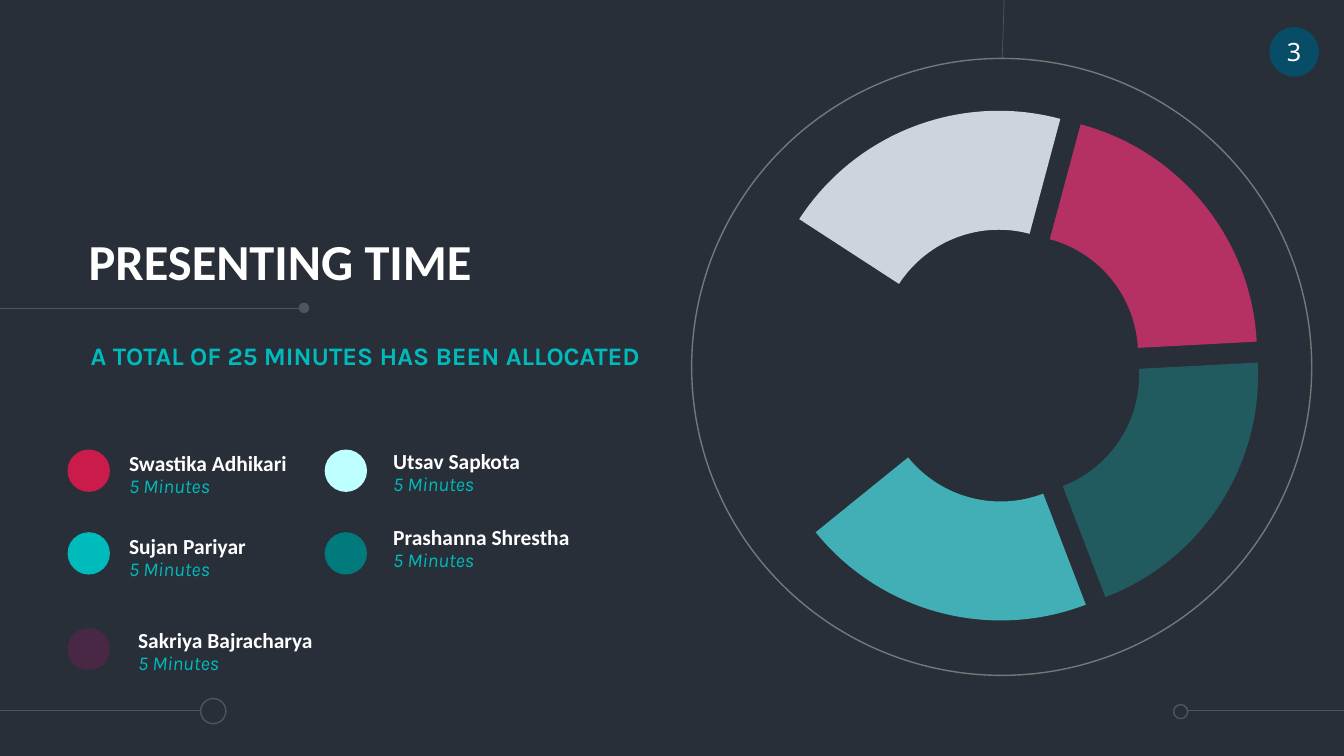
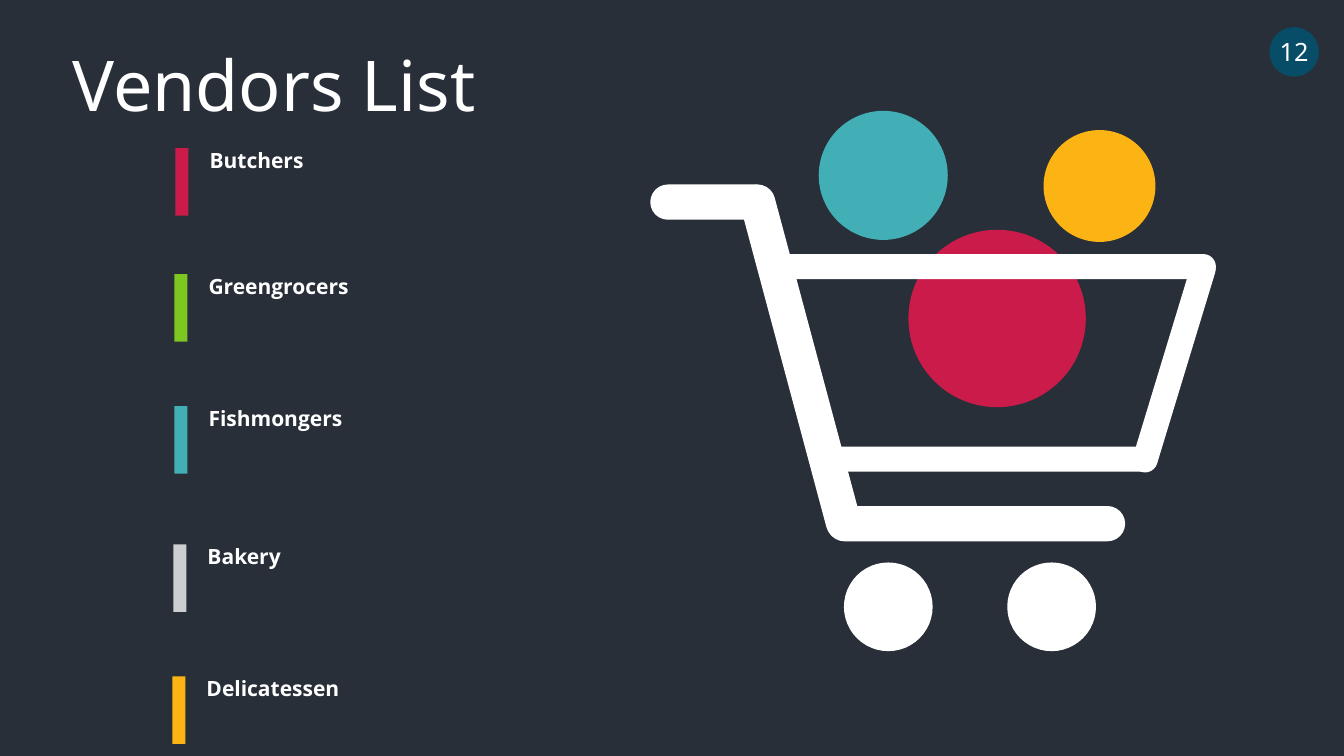
from pptx import Presentation
from pptx.chart.data import CategoryChartData
from pptx.dml.color import RGBColor
from pptx.enum.chart import XL_CHART_TYPE
from pptx.enum.shapes import MSO_CONNECTOR, MSO_SHAPE
from pptx.enum.text import MSO_ANCHOR, PP_ALIGN
from pptx.oxml.ns import qn
from pptx.util import Inches, Pt

OVAL, RECT, PILL = MSO_SHAPE.OVAL, MSO_SHAPE.RECTANGLE, MSO_SHAPE.ROUNDED_RECTANGLE
TOP, MIDDLE, BOTTOM = MSO_ANCHOR.TOP, MSO_ANCHOR.MIDDLE, MSO_ANCHOR.BOTTOM

COLORS = {
    "back": "282F39", "white": "FFFFFF", "badge": "074D67", "rule": "515459",
    "ring": "777777", "teal": "00BBBB", "red": "CB1B4A", "ice": "BEFFFF",
    "pine": "007A7D", "plum": "482845", "yellow": "FCB414", "aqua": "42AFB6",
    "green": "7EC722", "silver": "CCCED0", "mist": "CED4DD", "rose": "B53164",
    "forest": "225B5F",
}
RGB = {name: RGBColor.from_string(value) for name, value in COLORS.items()}


def add_shape(s, kind, x, y, w, h, fill=None, line=None):
    sp = s.shapes.add_shape(kind, Inches(x), Inches(y), Inches(w), Inches(h))
    sp.shadow.inherit = False
    if fill:
        sp.fill.solid()
        sp.fill.fore_color.rgb = RGB[fill]
    else:
        sp.fill.background()
    if line:
        sp.line.color.rgb = RGB[line]
        sp.line.width = Pt(1)
    else:
        sp.line.fill.background()
    return sp


def add_text(s, text, x, y, w, h, font, size, color="white", bold=False,
             italic=False, anchor=TOP, spacing=None, inset=True):
    tf = s.shapes.add_textbox(Inches(x), Inches(y), Inches(w), Inches(h)).text_frame
    tf.word_wrap = True
    tf.vertical_anchor = anchor
    if not inset:
        tf.margin_left = tf.margin_right = tf.margin_top = tf.margin_bottom = 0
    p = tf.paragraphs[0]
    p.text = text
    p.line_spacing = spacing
    p.font.name, p.font.size = font, Pt(size)
    p.font.bold, p.font.italic = bold, italic
    p.font.color.rgb = RGB[color]


prs = Presentation()
prs.slide_width, prs.slide_height = Inches(13.33), Inches(7.5)
master_fill = prs.slide_master.background.fill
master_fill.solid()
master_fill.fore_color.rgb = RGB["back"]

# Both slides carry a number badge
slides = []
for number in ("3", "12"):
    s = prs.slides.add_slide(prs.slide_layouts[6])
    slides.append(s)
    badge = add_shape(s, OVAL, 12.59, 0.27, 0.49, 0.49, "badge")
    tf = badge.text_frame
    tf.word_wrap = False
    tf.vertical_anchor = MIDDLE
    p = tf.paragraphs[0]
    p.text = number
    p.alignment = PP_ALIGN.CENTER
    p.font.name, p.font.size = "Noto Sans", Pt(18)
    p.font.color.rgb = RGB["white"]
time_slide, vendor_slide = slides

# Presenting time: headings
s = time_slide
add_text(s, "PRESENTING TIME", 0.88, 1.6, 4.88, 1.29, "Calibri", 36,
         bold=True, anchor=BOTTOM, spacing=0.9, inset=False)
add_text(s, "A TOTAL OF 25 MINUTES HAS BEEN ALLOCATED", 0.9, 3.38, 5.53, 1.1,
         "Karla", 18, "teal", bold=True, inset=False)

# Presenters: dot position, name position
presenters = [
    ("Swastika Adhikari", "red", 0.67, 4.46, 1.28, 4.34),
    ("Utsav Sapkota", "ice", 3.22, 4.46, 3.9, 4.32),
    ("Sujan Pariyar", "teal", 0.67, 5.28, 1.28, 5.16),
    ("Prashanna Shrestha", "pine", 3.22, 5.28, 3.9, 5.07),
    ("Sakriya Bajracharya", "plum", 0.67, 6.23, 1.37, 6.09),
]
for name, color, dot_x, dot_y, x, y in presenters:
    add_shape(s, OVAL, dot_x, dot_y, 0.42, 0.42, color)
    add_text(s, name, x, y, 2.1, 0.38, "Calibri", 15.3, bold=True,
             anchor=BOTTOM, spacing=0.8, inset=False)
    add_text(s, "5 Minutes", x, y + 0.39, 1.41, 0.27, "Karla", 14, "teal",
             italic=True, spacing=0.9, inset=False)

# Thin rules and their end dots
for x1, y1, x2, y2 in [(0, 3.06, 3.03, 3.06), (0, 7.05, 1.99, 7.05),
                       (9.94, 0.58, 9.96, 0), (11.77, 7.05, 13.33, 7.05)]:
    rule = s.shapes.add_connector(MSO_CONNECTOR.STRAIGHT, Inches(x1), Inches(y1),
                                  Inches(x2), Inches(y2))
    rule.line.color.rgb = RGB["rule"]
    rule.line.width = Pt(0.5)
    spPr = rule._element.spPr
    spPr.append(spPr.makeelement(qn("a:effectLst"), {}))
add_shape(s, OVAL, 2.97, 3.01, 0.09, 0.09, "rule", "rule")
add_shape(s, OVAL, 1.99, 6.93, 0.25, 0.25, line="rule")
add_shape(s, OVAL, 11.64, 6.99, 0.14, 0.14, line="rule")

# Doughnut chart, first slice in the background colour
data = CategoryChartData()
data.categories = ["1", "2", "3", "4", "5"]
data.add_series("Series 1", [20] * 5)
chart = s.shapes.add_chart(XL_CHART_TYPE.DOUGHNUT, Inches(7.09), Inches(0.95),
                           Inches(5.76), Inches(5.35), data).chart
chart.has_legend = False
chart.has_title = False
chart.font.name, chart.font.size = "Calibri", Pt(10)
chart.font.color.rgb = RGB["back"]
series = chart.plots[0].series[0]
for i, color in enumerate(["back", "mist", "rose", "forest", "aqua"]):
    slice_format = series.points[i].format
    slice_format.fill.solid()
    slice_format.fill.fore_color.rgb = RGB[color]
    slice_format.line.fill.background()
doughnut = chart.element.find(".//" + qn("c:doughnutChart"))
doughnut.find(qn("c:firstSliceAng")).set("val", "231")
doughnut.find(qn("c:holeSize")).set("val", "57")
first_point = doughnut.find(".//" + qn("c:dPt"))
first_point.addprevious(first_point.makeelement(qn("c:explosion"), {"val": "15"}))
add_shape(s, OVAL, 6.86, 0.58, 6.15, 6.12, line="ring")

# Vendors list
s = vendor_slide
add_text(s, "Vendors List", 0.62, 0.36, 11.77, 0.94, "Noto Sans", 50)
vendors = [
    ("Butchers", "red", 1.74, 1.47),
    ("Greengrocers", "green", 1.73, 2.72),
    ("Fishmongers", "aqua", 1.73, 4.03),
    ("Bakery", "silver", 1.72, 5.4),
    ("Delicatessen", "yellow", 1.71, 6.71),
]
for name, color, x, y in vendors:
    add_shape(s, RECT, x, y, 0.13, 0.67, color)
    add_text(s, name, x + 0.24, y - 0.06, 1.9, 0.35, "Open Sans", 15, bold=True)

# Goods and cart wheels
for x, y, size, color in [(9.01, 2.28, 1.76, "red"), (10.35, 1.29, 1.11, "yellow"),
                          (8.12, 1.1, 1.28, "aqua"), (8.37, 5.58, 0.88, "white"),
                          (9.99, 5.58, 0.88, "white")]:
    add_shape(s, OVAL, x, y, size, size, color)

# Cart frame
for x, y, w, h, angle in [
    (6.45, 1.83, 1.23, 0.35, 0),
    (6.12, 3.42, 3.64, 0.35, 75),
    (8.2, 5.02, 2.96, 0.35, 0),
    (7.63, 2.52, 4.43, 0.25, 0),
    (10.53, 3.49, 2.23, 0.25, 106.9),
    (8.2, 4.43, 3.26, 0.25, 0),
]:
    bar = add_shape(s, PILL, x, y, w, h, "white")
    bar.adjustments[0] = 0.5
    bar.rotation = angle

prs.save("out.pptx")
